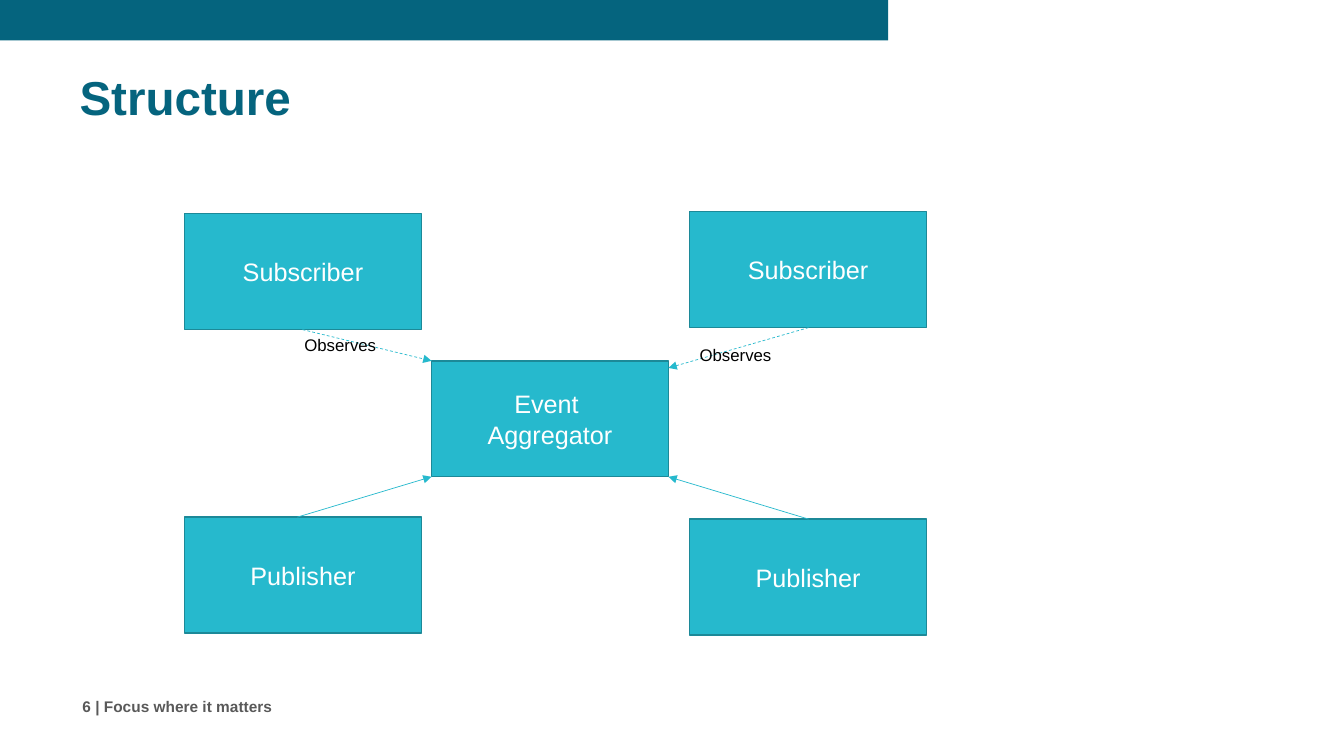
from dataclasses import dataclass

from lxml.etree import SubElement
from pptx import Presentation
from pptx.dml.color import RGBColor as RGB
from pptx.enum.dml import MSO_LINE
from pptx.enum.shapes import MSO_CONNECTOR, MSO_SHAPE
from pptx.enum.text import MSO_ANCHOR as ANCHOR, PP_ALIGN as ALIGN
from pptx.oxml.ns import qn
from pptx.util import Inches, Pt


@dataclass(frozen=True)
class Theme:
    font: str = "Arial"
    dark: RGB = RGB(0x05, 0x64, 0x7E)
    fill: RGB = RGB(0x26, 0xB9, 0xCD)
    edge: RGB = RGB(0x1C, 0x89, 0x98)
    gray: RGB = RGB(0x59, 0x59, 0x59)
    black: RGB = RGB(0, 0, 0)
    white: RGB = RGB(255, 255, 255)
    title_size: Pt = Pt(34)
    box_size: Pt = Pt(18)
    label_size: Pt = Pt(12)
    footer_size: Pt = Pt(11)


theme = Theme()

prs = Presentation()
prs.slide_width, prs.slide_height = Inches(13.33), Inches(7.5)
s = prs.slides.add_slide(prs.slide_layouts[6])


def write(sp, text, size, color, bold=False, align=ALIGN.LEFT, anchor=ANCHOR.TOP):
    tf = sp.text_frame
    tf.word_wrap = True
    tf.vertical_anchor = anchor
    tf.text = text
    for p in tf.paragraphs:
        p.alignment = align
        p.font.name, p.font.size, p.font.bold = theme.font, size, bold
        p.font.color.rgb = color


def add_rect(left, top, width, height, fill):
    sp = s.shapes.add_shape(MSO_SHAPE.RECTANGLE, Inches(left), Inches(top),
                            Inches(width), Inches(height))
    sp.shadow.inherit = False
    sp.fill.solid()
    sp.fill.fore_color.rgb = fill
    sp.line.fill.background()
    return sp


# Top band
add_rect(0, -0.01, 8.81, 0.41, theme.dark)

# Boxes
box_w, box_h = 2.35, 1.15
left_x, mid_x, right_x = 1.83, 4.28, 6.84
boxes = [
    ("Subscriber", left_x, 2.12),
    ("Subscriber", right_x, 2.1),
    ("Publisher", left_x, 5.13),
    ("Publisher", right_x, 5.15),
    ("Event \nAggregator", mid_x, 3.58),
]
for name, left, top in boxes:
    sp = add_rect(left, top, box_w, box_h, theme.fill)
    sp.line.color.rgb = theme.edge
    sp.line.width = Pt(1)
    write(sp, name, theme.box_size, theme.white, align=ALIGN.CENTER, anchor=ANCHOR.MIDDLE)

# Arrows into the aggregator: dashed from subscribers, solid from publishers
mid_right = mid_x + box_w
arrows = [
    (3, 3.27, mid_x, 3.58, True),
    (8.02, 3.25, mid_right, 3.65, True),
    (2.95, 5.13, mid_x, 4.73, False),
    (8.02, 5.15, mid_right, 4.73, False),
]
for x1, y1, x2, y2, dashed in arrows:
    arrow = s.shapes.add_connector(MSO_CONNECTOR.STRAIGHT, Inches(x1), Inches(y1),
                                   Inches(x2), Inches(y2))
    arrow.line.color.rgb = theme.fill
    arrow.line.width = Pt(0.5)
    if dashed:
        arrow.line.dash_style = MSO_LINE.DASH
    SubElement(arrow.line._get_or_add_ln(), qn("a:tailEnd"), type="triangle")
    SubElement(arrow._element.spPr, qn("a:effectLst"))

# Title, footer and arrow labels
texts = [
    ("Structure", 0.69, 0.62, 11.85, 0.63, theme.title_size, theme.dark, True, ANCHOR.TOP),
    ("6 | Focus where it matters", 0.72, 6.81, 5.73, 0.4,
     theme.footer_size, theme.gray, True, ANCHOR.MIDDLE),
    ("Observes", 2.92, 3.27, 1.35, 0.3, theme.label_size, theme.black, False, ANCHOR.TOP),
    ("Observes", right_x, 3.37, 1.35, 0.3, theme.label_size, theme.black, False, ANCHOR.TOP),
]
for text, left, top, width, height, size, color, bold, anchor in texts:
    sp = s.shapes.add_textbox(Inches(left), Inches(top), Inches(width), Inches(height))
    write(sp, text, size, color, bold, anchor=anchor)

prs.save("out.pptx")
